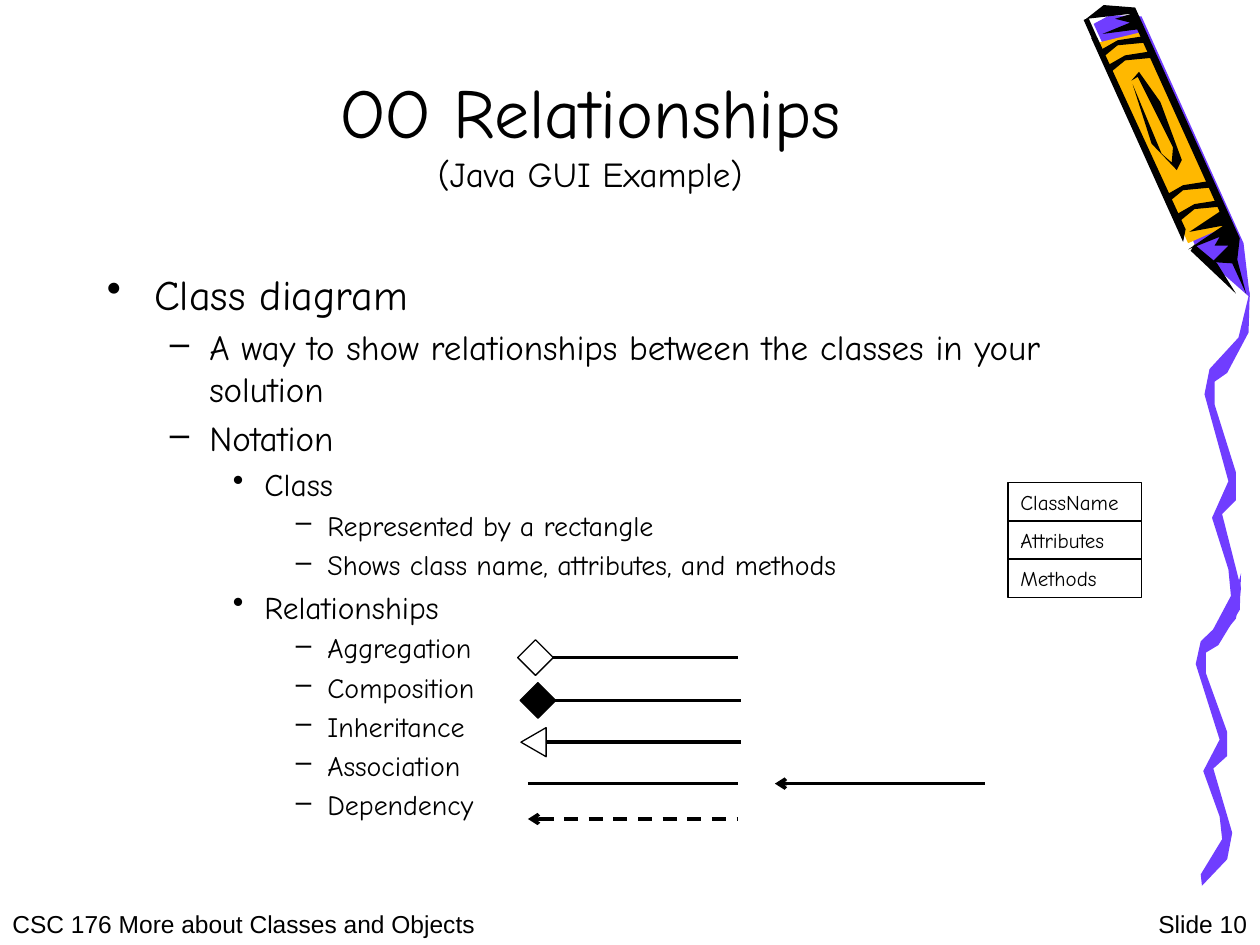
"""Builds the class diagram notation slide with its crayon decoration."""
from lxml import etree
from pptx import Presentation
from pptx.dml.color import RGBColor
from pptx.enum.dml import MSO_LINE
from pptx.enum.shapes import MSO_CONNECTOR, MSO_SHAPE
from pptx.enum.text import MSO_ANCHOR, PP_ALIGN
from pptx.oxml.ns import qn
from pptx.util import Pt

RECT, TRIANGLE = MSO_SHAPE.RECTANGLE, MSO_SHAPE.ISOSCELES_TRIANGLE
STRAIGHT, DASH = MSO_CONNECTOR.STRAIGHT, MSO_LINE.DASH
LEFT, CENTER = PP_ALIGN.LEFT, PP_ALIGN.CENTER
TOP, MIDDLE = MSO_ANCHOR.TOP, MSO_ANCHOR.MIDDLE
FONT, BLACK, WHITE, PURPLE, ORANGE = "Comic Neue", "000000", "FFFFFF", "703DFF", "FFB800"

TITLE = [("OO Relationships", 40), ("(Java GUI Example)", 20)]
FOOTER = "CSC 176 More about Classes and Objects\t\tSlide 10"
FOOTER_TABS = [(333.4, "ctr"), (705.6, "r")]
BODY = [
    (0, "Class diagram"),
    (1, "A way to show relationships between the classes in your solution"),
    (1, "Notation"),
    (2, "Class"),
    (3, "Represented by a rectangle"),
    (3, "Shows class name, attributes, and methods"),
    (2, "Relationships"),
    (3, "Aggregation"),
    (3, "Composition"),
    (3, "Inheritance"),
    (3, "Association"),
    (3, "Dependency"),
]
LEVELS = [(24, 27, 27, "•"), (20, 58.5, 22.5, "–"), (18, 90, 18, "•"), (16, 126, 18, "–")]
CLASS_PARTS = ["ClassName", "Attributes", "Methods"]
CLASS_BOX = (576, 275.9, 76.5, 21.8)
LINE_LENGTH = 120.2
RELATION_LINES = [
    (301.7, 375.8, {}),
    (303.1, 400.3, {}),
    (303.1, 424.1, {}),
    (301.7, 447.8, {}),
    (442.8, 447.8, {"arrow": True}),
    (301.7, 468, {"arrow": True, "dash": DASH}),
]
RELATION_ENDS = [
    (RECT, 306, 375.8, 14.4, 45, WHITE),
    (RECT, 307.4, 400.3, 14.4, 45, BLACK),
    (TRIANGLE, 304.9, 424.1, 16.6, 270, WHITE),
]
END_HEIGHT = 14.4
OUTLINE_UNIT = Pt(0.72)
BARREL = [(868, 19), (951, 200), (992, 236), (987, 193), (906, 13), (881, 12)]
LABEL = [(943, 193), (977, 178), (908, 25), (871, 34)]
SQUIGGLE = [(4, 239), (21, 211), (19, 193), (6, 157), (19, 132), (0, 72), (4, 54),
            (27, 32), (36, 0), (35, 29), (18, 57), (8, 63), (8, 79), (25, 126),
            (25, 145), (14, 155), (29, 206), (25, 227), (5, 248)]
SQUIGGLE_SPOTS = [(949, 455, 1), (956, 231, 1.145)]
RING = [(898, 64), (904, 57), (921, 81), (938, 127), (934, 135), (914, 114),
        (899, 67), (922, 122), (930, 129), (931, 117), (903, 61)]
SHADE = [(943, 198), (971, 179), (944, 184), (968, 168), (897, 11), (862, 15),
         (876, 4), (901, 6), (984, 189), (982, 206), (989, 233), (978, 209),
         (962, 208), (975, 195), (964, 195), (968, 188)]
EDGE = [(866, 30), (939, 192), (941, 182), (871, 30)]
TIP = [(945, 199), (981, 233), (966, 209), (948, 194)]
CAP = [(875, 27), (906, 23), (898, 11), (885, 15), (897, 18)]
BAND = [(0, 0), (11, -9), (32, -11), (30, -16), (11, -13), (-3, -5)]
BAND_SPOTS = [(937, 175, 1), (928, 160, 1), (882, 57, 1), (876, 45, 1)]


def rgb(value):
    return RGBColor.from_string(value)


def write(p, text, size, font=FONT, color=BLACK, align=LEFT):
    p.alignment = align
    r = p.add_run()
    r.text = text
    r.font.size, r.font.name = Pt(size), font
    r.font.color.rgb = rgb(color)


def frame(sp, anchor=TOP):
    tf = sp.text_frame
    tf.word_wrap, tf.vertical_anchor = True, anchor
    return tf


def add_outline(shapes, color, points, spot=(0, 0, 1)):
    left, top, stretch = spot
    moved = [(left + x, top + y * stretch) for x, y in points]
    builder = shapes.build_freeform(*moved[0], scale=OUTLINE_UNIT)
    builder.add_line_segments(moved[1:], close=True)
    sp = builder.convert_to_shape()
    sp.shadow.inherit = False
    sp.fill.solid()
    sp.fill.fore_color.rgb = rgb(color)
    sp.line.fill.background()


def add_line(shapes, x1, y1, x2, y2, width=2, dash=None, arrow=False):
    c = shapes.add_connector(STRAIGHT, *map(Pt, (x1, y1, x2, y2)))
    c.line.color.rgb, c.line.width = rgb(BLACK), Pt(width)
    if dash:
        c.line.dash_style = dash
    spPr = c._element.spPr
    if arrow:
        etree.SubElement(spPr.find(qn("a:ln")), qn("a:headEnd"), type="arrow")
    etree.SubElement(spPr, qn("a:effectLst"))


def add_box(shapes, kind, *box, fill=None):
    sp = shapes.add_shape(kind, *map(Pt, box))
    sp.shadow.inherit = False
    if fill:
        sp.fill.solid()
        sp.fill.fore_color.rgb = rgb(fill)
    else:
        sp.fill.background()
    sp.line.color.rgb, sp.line.width = rgb(BLACK), Pt(0.75)
    return sp


def add_crayon(shapes):
    add_outline(shapes, PURPLE, BARREL)
    add_outline(shapes, ORANGE, LABEL)
    for spot in SQUIGGLE_SPOTS:
        add_outline(shapes, PURPLE, SQUIGGLE, spot)
    for points in (TIP, CAP, RING, EDGE, SHADE):
        add_outline(shapes, BLACK, points)
    for spot in BAND_SPOTS:
        add_outline(shapes, BLACK, BAND, spot)
    add_line(shapes, 620.6, 10.8, 625.7, 22.3, width=3)


def add_footer(shapes):
    p = frame(shapes.add_textbox(*map(Pt, (0, 516.2, 720, 23.8)))).paragraphs[0]
    write(p, FOOTER, 14, font="Arial")
    tabs = etree.SubElement(p._p.get_or_add_pPr(), qn("a:tabLst"))
    for pos, algn in FOOTER_TABS:
        etree.SubElement(tabs, qn("a:tab"), pos=str(Pt(pos)), algn=algn)


def add_title(sp):
    sp.left, sp.top, sp.width, sp.height = map(Pt, (54, 12.2, 566.6, 126))
    p = frame(sp, MIDDLE).paragraphs[0]
    for i, (text, size) in enumerate(TITLE):
        if i:
            p.add_line_break()
        write(p, text, size, align=CENTER)


def add_body(shapes):
    tf = frame(shapes.add_textbox(*map(Pt, (54, 149.8, 606.2, 342))))
    for i, (level, text) in enumerate(BODY):
        p = tf.add_paragraph() if i else tf.paragraphs[0]
        size, margin, hang, bullet = LEVELS[level]
        write(p, text, size)
        p.level, p.space_before = level, Pt(size * 0.2)
        pPr = p._p.get_or_add_pPr()
        pPr.set("marL", str(Pt(margin)))
        pPr.set("indent", str(-Pt(hang)))
        etree.SubElement(pPr, qn("a:buChar"), char=bullet)


def main():
    prs = Presentation()
    prs.slide_width, prs.slide_height = Pt(720), Pt(540)
    s = prs.slides.add_slide(prs.slide_layouts[5])
    shapes = s.shapes
    add_crayon(shapes)
    add_footer(shapes)
    add_title(shapes.title)
    add_body(shapes)
    x, y, w, h = CLASS_BOX
    for i, text in enumerate(CLASS_PARTS):
        sp = add_box(shapes, RECT, x, y + i * h, w, h)
        write(frame(sp).paragraphs[0], text, 12)
    for x, y, style in RELATION_LINES:
        add_line(shapes, x, y, x + LINE_LENGTH, y, **style)
    for kind, x, y, w, angle, fill in RELATION_ENDS:
        sp = add_box(shapes, kind, x - w / 2, y - END_HEIGHT / 2, w, END_HEIGHT, fill=fill)
        sp.rotation = angle
    prs.save("out.pptx")


if __name__ == "__main__":
    main()
